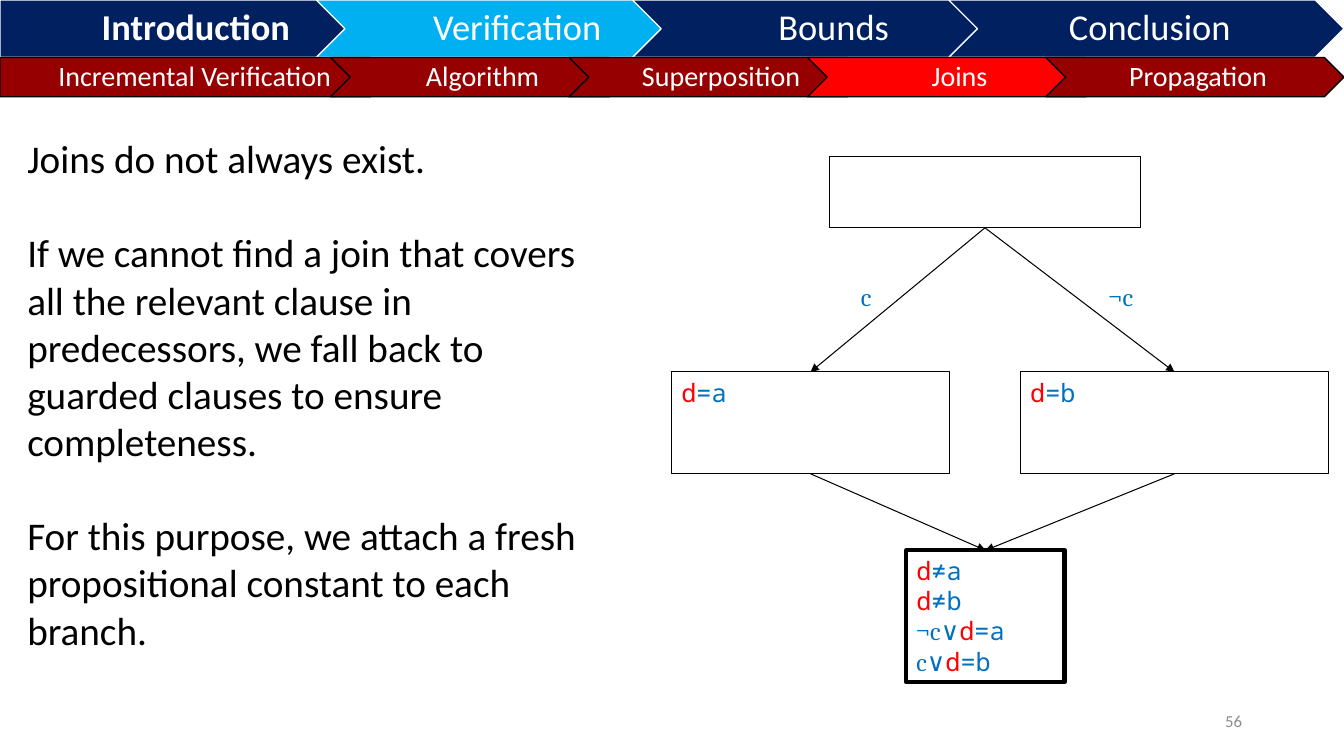
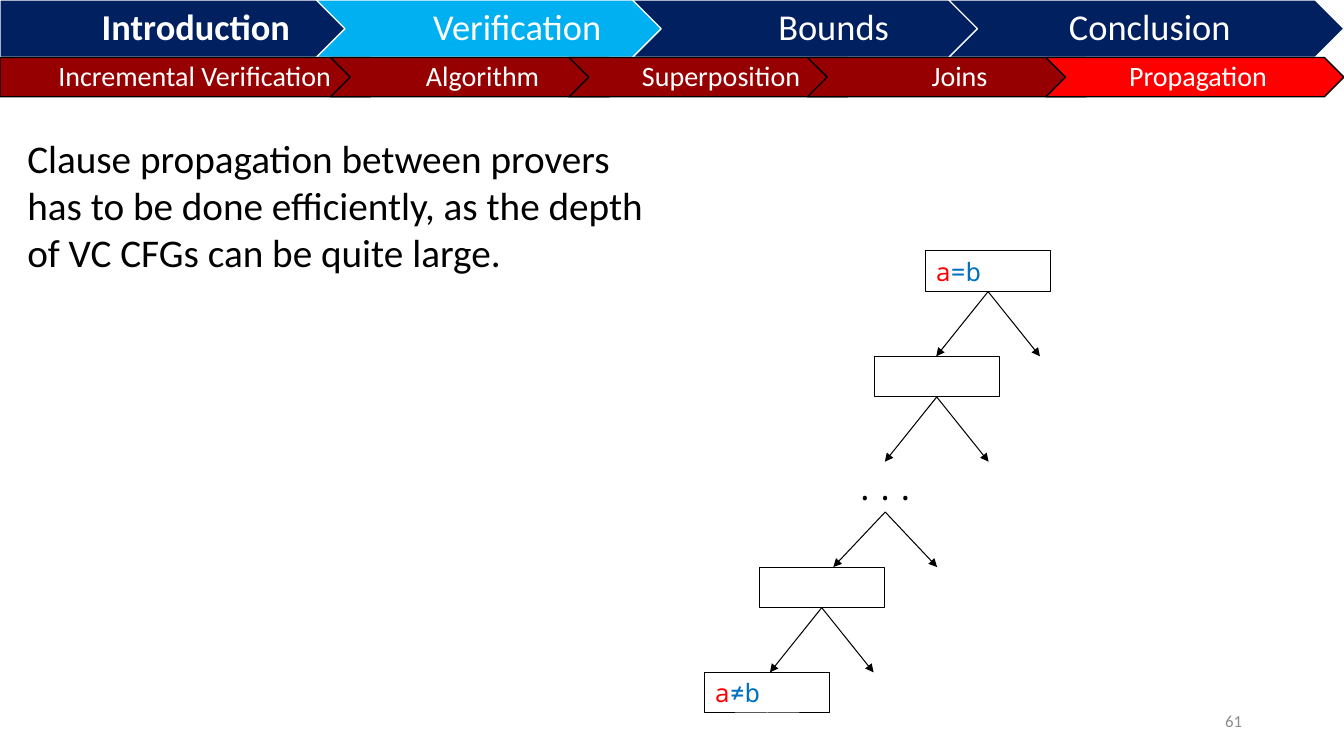
from dataclasses import dataclass

from pptx import Presentation
from pptx.dml.color import RGBColor
from pptx.enum.shapes import MSO_CONNECTOR, MSO_SHAPE
from pptx.enum.text import MSO_ANCHOR, MSO_AUTO_SIZE, PP_ALIGN
from pptx.oxml.ns import qn
from pptx.util import Inches, Pt

RECTANGLE, PENTAGON, CHEVRON = MSO_SHAPE.RECTANGLE, MSO_SHAPE.PENTAGON, MSO_SHAPE.CHEVRON
STRAIGHT = MSO_CONNECTOR.STRAIGHT
TOP, MIDDLE = MSO_ANCHOR.TOP, MSO_ANCHOR.MIDDLE
LEFT, CENTER, RIGHT = PP_ALIGN.LEFT, PP_ALIGN.CENTER, PP_ALIGN.RIGHT
TOP_SITE, BOTTOM_SITE = 0, 2

BLACK = RGBColor(0x00, 0x00, 0x00)
WHITE = RGBColor(0xFF, 0xFF, 0xFF)
GRAY = RGBColor(0x8C, 0x8C, 0x8C)
NAVY = RGBColor(0x00, 0x20, 0x60)
SKY = RGBColor(0x00, 0xB0, 0xF0)
MAROON = RGBColor(0x96, 0x00, 0x00)
RED = RGBColor(0xFF, 0x00, 0x00)
BLUE = RGBColor(0x00, 0x70, 0xC0)

SANS, SERIF, MONO = "Calibri", "Cambria", "Noto Sans Mono"
VARIABLE, RELATION, GUARD = (MONO, RED), (MONO, BLUE), (SERIF, BLUE)

CHAPTERS = ["Introduction", "Verification", "Bounds", "Conclusion"]
SECTIONS = ["Incremental Verification", "Algorithm", "Superposition", "Joins", "Propagation"]
OVERLAP = 0.2


@dataclass
class Box:
    """A rectangle in EMU whose inner boxes are given in percent of its size."""
    left: int
    top: int
    width: int
    height: int

    def inner(self, left, top, width, height):
        """Return the box that covers the given percentages of this one."""
        return Box(int(self.left + self.width * left / 100),
                   int(self.top + self.height * top / 100),
                   int(self.width * width / 100), int(self.height * height / 100))

    @property
    def frame(self):
        """Return left, top, width and height."""
        return self.left, self.top, self.width, self.height


PAGE = Box(0, 0, Inches(13.33), Inches(7.5))


def format_run(run, size, font, color, bold=False):
    """Set the look of one run."""
    run.font.size = Pt(size)
    run.font.name = font
    run.font.bold = bold
    run.font.color.rgb = color


def set_text(shape, text, size, font=SANS, color=BLACK, align=LEFT, anchor=TOP, bold=False):
    """Write plain text into a shape, one paragraph for each line."""
    frame = shape.text_frame
    frame.text = text
    frame.word_wrap = True
    frame.auto_size = MSO_AUTO_SIZE.NONE
    frame.vertical_anchor = anchor
    for paragraph in frame.paragraphs:
        paragraph.alignment = align
        for run in paragraph.runs:
            format_run(run, size, font, color, bold)


def add_label(slide, box, text, size, **style):
    """Add a text box with plain text."""
    label = slide.shapes.add_textbox(*box.frame)
    set_text(label, text, size, **style)
    return label


def add_outline(slide, kind, box, line_color, line_width, fill=None):
    """Add a flat shape, hollow unless a fill is given."""
    shape = slide.shapes.add_shape(kind, *box.frame)
    shape.shadow.inherit = False
    if fill is None:
        shape.fill.background()
    else:
        shape.fill.solid()
        shape.fill.fore_color.rgb = fill
    shape.line.color.rgb = line_color
    shape.line.width = Pt(line_width)
    return shape


def add_node(slide, box, formulas=(), line_width=0.75):
    """Add a graph node that lists formulas made of styled terms."""
    node = add_outline(slide, RECTANGLE, box, BLACK, line_width)
    frame = node.text_frame
    frame.vertical_anchor = TOP
    frame.word_wrap = True
    for index, formula in enumerate(formulas):
        paragraph = frame.add_paragraph() if index else frame.paragraphs[0]
        paragraph.alignment = LEFT
        for text, (font, color) in formula:
            run = paragraph.add_run()
            run.text = text
            format_run(run, 18, font, color)
    return node


def add_arrow(slide, source, target=None, end=(0, 0)):
    """Draw an arrow from below a node to the top of another or to a point."""
    arrow = slide.shapes.add_connector(STRAIGHT, 0, 0, *end)
    arrow.begin_connect(source, BOTTOM_SITE)
    if target is not None:
        arrow.end_connect(target, TOP_SITE)
    arrow.line.color.rgb = BLACK
    arrow.line.width = Pt(0.75)
    properties = arrow._element.spPr
    line = properties.find(qn("a:ln"))
    line.append(line.makeelement(qn("a:tailEnd"), {"type": "triangle"}))
    properties.append(properties.makeelement(qn("a:effectLst"), {}))


def add_band(slide, box, names, active, colors, first, size, insets, bold_first=False):
    """Fill a box with overlapping chevrons, the first one a given percentage wide."""
    plain, highlight, line_color = colors
    width = (100 - first) / (len(names) - 1) / (1 - OVERLAP)
    left = 0
    for index, name in enumerate(names):
        kind, share = (CHEVRON, width) if index else (PENTAGON, first)
        fill = highlight if name == active else plain
        step = add_outline(slide, kind, box.inner(left, 0, share, 100), line_color, 1, fill)
        set_text(step, name, size, color=WHITE, align=CENTER, anchor=MIDDLE,
                 bold=bold_first and index == 0)
        frame = step.text_frame
        frame.paragraphs[0].line_spacing = 0.9
        frame.margin_left = Inches(insets[1] if index else insets[0])
        frame.margin_right = Inches(insets[2])
        frame.margin_top = frame.margin_bottom = Inches(insets[3])
        left += share - OVERLAP * width


def add_body(slide, box, paragraphs):
    """Place the body placeholder and fill it with unbulleted paragraphs."""
    body = slide.placeholders[1]
    body.left, body.top, body.width, body.height = box.frame
    set_text(body, "\n".join(paragraphs), 28)
    for index, paragraph in enumerate(body.text_frame.paragraphs):
        properties = paragraph._p.get_or_add_pPr()
        properties.set("marL", "0")
        properties.set("indent", "0")
        properties.append(properties.makeelement(qn("a:buNone"), {}))
        paragraph.line_spacing = 1.0
        paragraph.space_before = Pt(34 if index else 0)
        paragraph.space_after = Pt(0)


def add_page(presentation, section, number, body_width, paragraphs):
    """Add a slide with the two navigation bands, the body and the page number."""
    slide = presentation.slides.add_slide(presentation.slide_layouts[1])
    title = slide.shapes.title._element
    title.getparent().remove(title)
    add_body(slide, PAGE.inner(1.28, 17.07, body_width, 70.4), paragraphs)
    add_band(slide, PAGE.inner(0, 0, 100, 7.6), CHAPTERS, "Verification",
             (NAVY, SKY, WHITE), 29.41, 26, (0.15, 0.11, 0.04, 0.08), bold_first=True)
    add_band(slide, PAGE.inner(0, 7.6, 100, 5.2), SECTIONS, section,
             (MAROON, RED, BLACK), 29.03, 20, (0.12, 0.09, 0.03, 0.06))
    add_label(slide, PAGE.inner(70.67, 92.67, 22.5, 5.33), number, 12,
              color=GRAY, align=RIGHT, anchor=MIDDLE)
    return slide


def add_join_graph(slide, box):
    """Draw a branch whose two sides meet again in a join."""
    branch = add_node(slide, box.inner(24.08, 0, 47.24, 13.6))
    join = add_node(slide, box.inner(35.74, 74.9, 24.08, 25.1), [
        [("d", VARIABLE), ("≠a", RELATION)],
        [("d", VARIABLE), ("≠b", RELATION)],
        [("¬c∨", GUARD), ("d", VARIABLE), ("=a", RELATION)],
        [("c∨", GUARD), ("d", VARIABLE), ("=b", RELATION)],
    ], line_width=3)
    sides = [(0, 42.33, "=a", 27.3, "c"), (53.07, 46.93, "=b", 65.03, "¬c")]
    for left, width, value, label_left, guard in sides:
        side = add_node(slide, box.inner(left, 41, width, 19.35),
                        [[("d", VARIABLE), (value, RELATION)]])
        add_arrow(slide, branch, side)
        add_arrow(slide, side, join)
        add_label(slide, box.inner(label_left, 22.8, 9.36, 7.66), guard, 18,
                  font=SERIF, color=BLUE)


def add_prover_chain(slide, box):
    """Draw a deep chain of provers, each but the last with two outgoing arrows."""
    pitch, width, spread = 22.82, 36.15, 15
    lefts = [63.85, 49, 34.1, 15.75, 0]
    formulas = {0: "=b", 4: "≠b"}
    for index, left in enumerate(lefts):
        top = index * pitch
        if index == 2:
            node = add_label(slide, box.inner(left, top, width, 10.9), "...", 24,
                             font=MONO, align=CENTER)
        else:
            terms = [[("a", VARIABLE), (formulas[index], RELATION)]] if index in formulas else ()
            node = add_node(slide, box.inner(left, top, width, 8.8), terms)
        if index < len(lefts) - 1:
            for offset in (-spread, spread):
                tip = box.inner(left + width / 2 + offset, top + pitch, 0, 0)
                add_arrow(slide, node, end=(tip.left, tip.top))


def main():
    """Build both slides and save them."""
    presentation = Presentation()
    presentation.slide_width, presentation.slide_height = PAGE.width, PAGE.height
    joins = add_page(presentation, "Joins", "56", 44.8, [
        "Joins do not always exist.",
        "If we cannot find a join that covers all the relevant clause in predecessors, "
        "we fall back to guarded clauses to ensure completeness.",
        "For this purpose, we attach a fresh propositional constant to each branch.",
    ])
    add_join_graph(joins, PAGE.inner(49.96, 20.67, 48.9, 69.6))
    propagation = add_page(presentation, "Propagation", "61", 47.7, [
        "Clause propagation between provers has to be done efficiently, "
        "as the depth of VC CFGs can be quite large.",
    ])
    add_prover_chain(propagation, PAGE.inner(52.44, 33.2, 25.73, 61.07))
    presentation.save("out.pptx")


if __name__ == "__main__":
    main()
